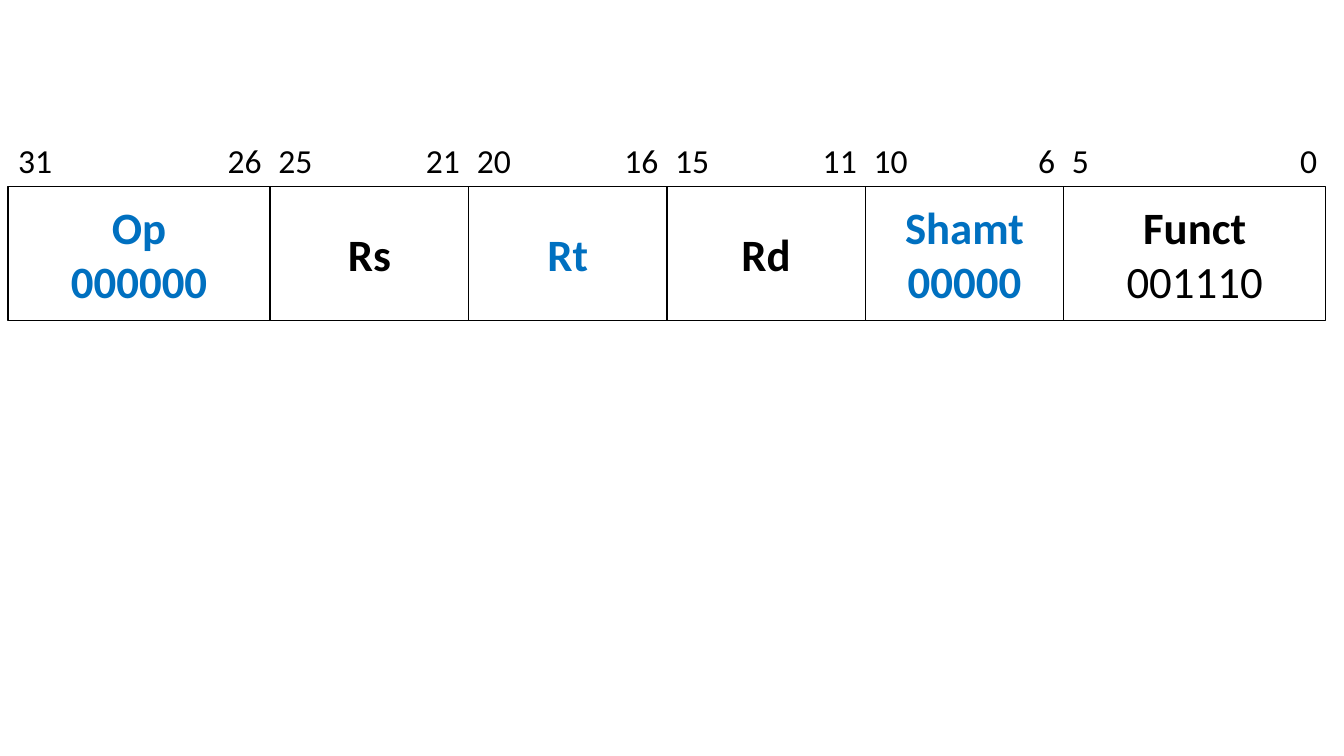
from itertools import accumulate
from lxml.etree import SubElement
from pptx import Presentation
from pptx.dml.color import RGBColor
from pptx.enum.shapes import MSO_SHAPE
from pptx.enum.text import MSO_ANCHOR, PP_ALIGN
from pptx.oxml.ns import qn
from pptx.util import Pt

COLORS = {"fixed": "0070C0", "ink": "000000"}

# name, code, high bit, low bit, width, colour, bold code
FIELDS = [
    ("Op", "000000", 31, 26, 187.2, "fixed", True),
    ("Rs", "", 25, 21, 141.7, "ink", True),
    ("Rt", "", 20, 16, 141.7, "fixed", True),
    ("Rd", "", 15, 11, 141.7, "ink", True),
    ("Shamt", "00000", 10, 6, 141.7, "fixed", True),
    ("Funct", "001110", 5, 0, 187.2, "ink", False),
]
LEFT, TOP, HEIGHT = 5.8, 133.2, 95.8
BITS_TOP, BITS_HEIGHT = 96.5, 36.3
INSET, GAP = 7.2, 6


class SlideBuilder:
    """Holds the style and the current slide."""

    font = "Calibri"

    def __init__(self, slide):
        """Keep the slide to draw on."""
        self.slide = slide

    def style(self, paragraph, size, color, bold=False):
        """Format every run of a paragraph."""
        for run in paragraph.runs:
            run.font.name = self.font
            run.font.size = Pt(size)
            run.font.bold = bold
            run.font.color.rgb = RGBColor.from_string(COLORS[color])

    def field(self, left, width, name, code, color, bold_code):
        """Draw one outlined instruction field with its name and code."""
        cell = self.slide.shapes.add_shape(
            MSO_SHAPE.RECTANGLE, Pt(left), Pt(TOP), Pt(width), Pt(HEIGHT))
        cell.shadow.inherit = False
        cell.fill.background()
        cell.line.color.rgb = RGBColor.from_string(COLORS["ink"])
        cell.line.width = Pt(1)
        frame = cell.text_frame
        frame.vertical_anchor = MSO_ANCHOR.MIDDLE
        frame.text = f"{name}\n{code}" if code else name
        for row, paragraph in enumerate(frame.paragraphs):
            paragraph.alignment = PP_ALIGN.CENTER
            self.style(paragraph, 32, color, row == 0 or bold_code)

    def bit_numbers(self, text, width, stops):
        """Write the bit numbers in one line, placed by tab stops."""
        ruler = self.slide.shapes.add_textbox(
            Pt(LEFT), Pt(BITS_TOP), Pt(width), Pt(BITS_HEIGHT))
        frame = ruler.text_frame
        frame.word_wrap = True
        frame.margin_left, frame.margin_right = Pt(INSET), 0
        frame.text = text
        line = frame.paragraphs[0]
        self.style(line, 24, "ink")
        tabs = SubElement(line._p.get_or_add_pPr(), qn("a:tabLst"))
        for position, side in stops:
            SubElement(tabs, qn("a:tab"), pos=str(Pt(position)), algn=side)


def main():
    """Build the instruction format slide."""
    deck = Presentation()
    deck.slide_width, deck.slide_height = Pt(960), Pt(540)
    builder = SlideBuilder(deck.slides.add_slide(deck.slide_layouts[6]))

    edges = list(accumulate((field[4] for field in FIELDS), initial=0))
    bits, stops = [], []
    for (name, code, high, low, width, color, bold), start in zip(FIELDS, edges):
        builder.field(LEFT + start, width, name, code, color, bold)
        bits += [str(high), str(low)]
        stops += [(start + GAP - INSET, "l"), (start + width - GAP - INSET, "r")]
    # The first number starts at the text inset, so it needs no stop.
    builder.bit_numbers("\t".join(bits), edges[-1], stops[1:])

    deck.save("out.pptx")


main()
